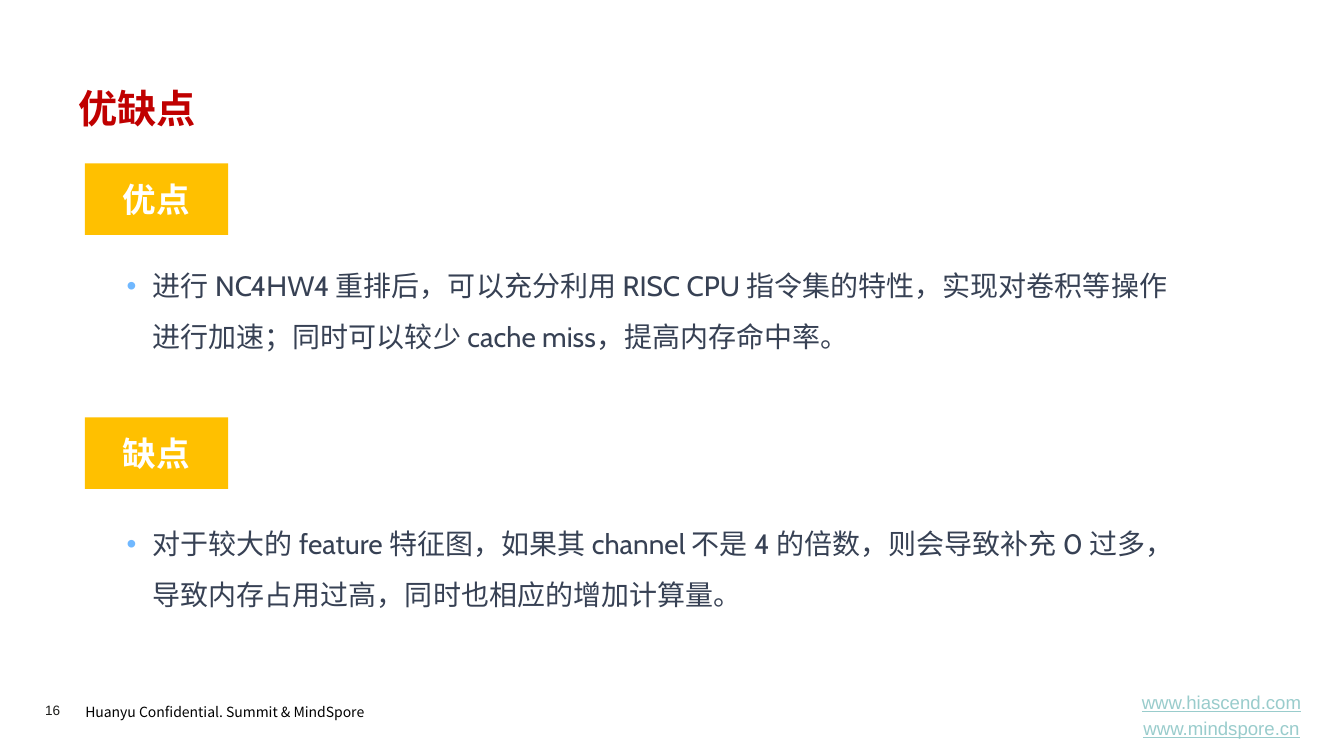
"""Build the slide on strengths and weaknesses of the NC4HW4 layout."""
from dataclasses import dataclass

from lxml import etree
from pptx import Presentation
from pptx import util as u
from pptx.dml.color import RGBColor
from pptx.enum import shapes, text
from pptx.oxml.ns import qn


@dataclass(frozen=True)
class Style:
    """Look of a piece of text."""
    size: float
    font: str
    color: str
    bold: bool = False
    underline: bool = False
    align: text.PP_ALIGN = text.PP_ALIGN.LEFT
    anchor: text.MSO_ANCHOR = text.MSO_ANCHOR.TOP
    line_spacing: float = 1.0
    space_between: float = 0
    bullet: bool = False


@dataclass(frozen=True)
class Theme:
    """Colours, fonts and type sizes of the slide."""
    cjk: str = "Noto Sans CJK SC"
    tag_fill: str = "FFC000"
    bullet: str = "70B8FF"
    title: Style = Style(28, "Noto Sans CJK SC", "C00000", bold=True,
                         anchor=text.MSO_ANCHOR.MIDDLE)
    tag: Style = Style(24, "Arial", "FFFFFF", bold=True, align=text.PP_ALIGN.CENTER,
                       anchor=text.MSO_ANCHOR.MIDDLE)
    body: Style = Style(20, "Cabin", "374154", line_spacing=1.5, bullet=True)
    footer: Style = Style(10, "Noto Sans CJK SC", "000000", line_spacing=1.2)
    number: Style = Style(9.7, "Arial", "1D1D1B")
    links: Style = Style(13.3, "Arial", "99CCCC", underline=True,
                         align=text.PP_ALIGN.CENTER, anchor=text.MSO_ANCHOR.MIDDLE,
                         space_between=2.7)


@dataclass(frozen=True)
class Box:
    """Position and size in centimetres."""
    left: float
    top: float
    width: float
    height: float

    def lengths(self) -> tuple:
        """Return the four lengths for python-pptx."""
        return tuple(u.Cm(value) for value in (self.left, self.top, self.width, self.height))


@dataclass(frozen=True)
class Section:
    """A tag with the bullet text beneath it."""
    tag: str
    tag_top: float
    body: str
    body_top: float


@dataclass(frozen=True)
class Note:
    """A small text at the foot of the slide."""
    content: str
    box: Box
    style: Style
    padded: bool = True


THEME = Theme()
SECTIONS = (
    Section("优点", 4.12, "进行 NC4HW4 重排后，可以充分利用 RISC CPU 指令集的特性，"
            "实现对卷积等操作进行加速；同时可以较少 cache miss，提高内存命中率。", 6.23),
    Section("缺点", 10.52, "对于较大的 feature 特征图，如果其 channel 不是 4 的倍数，"
            "则会导致补充 0 过多，导致内存占用过高，同时也相应的增加计算量。", 12.73),
)
NOTES = (
    Note("Huanyu Confidential. Summit & MindSpore", Box(1.9, 17.53, 7.95, 0.74), THEME.footer),
    Note("16", Box(1.14, 17.68, 1.4, 0.41), THEME.number, padded=False),
    Note("www.hiascend.com\nwww.mindspore.cn", Box(28.05, 17.48, 5.49, 1.09), THEME.links),
)


def add_bullet(paragraph) -> None:
    """Give a paragraph a coloured bullet and a hanging indent."""
    properties = paragraph._p.get_or_add_pPr()
    indent = u.Cm(0.66)
    properties.set("marL", str(indent))
    properties.set("indent", str(-indent))
    color = etree.SubElement(properties, qn("a:buClr"))
    etree.SubElement(color, qn("a:srgbClr"), val=THEME.bullet)
    etree.SubElement(properties, qn("a:buFont"), typeface="Arial")
    etree.SubElement(properties, qn("a:buChar"), char="•")


def write(shape, content: str, style: Style) -> None:
    """Fill a shape with styled text."""
    frame = shape.text_frame
    frame.text = content
    frame.word_wrap = True
    frame.auto_size = text.MSO_AUTO_SIZE.NONE
    frame.vertical_anchor = style.anchor
    for index, paragraph in enumerate(frame.paragraphs):
        if style.bullet:
            add_bullet(paragraph)
        paragraph.alignment = style.align
        paragraph.line_spacing = style.line_spacing
        paragraph.space_before = u.Pt(style.space_between if index else 0)
        for run in paragraph.runs:
            font = run.font
            font.size = u.Pt(style.size)
            font.name = style.font
            font.bold = style.bold
            font.underline = style.underline
            font.color.rgb = RGBColor.from_string(style.color)
            etree.SubElement(run._r.get_or_add_rPr(), qn("a:ea"), typeface=THEME.cjk)


def add_title(slide, content: str, box: Box) -> None:
    """Place and format the title placeholder."""
    title = slide.shapes.title
    title.left, title.top, title.width, title.height = box.lengths()
    write(title, content, THEME.title)


def add_text(slide, content: str, box: Box, style: Style, padded: bool = True) -> None:
    """Add a text box, with or without inner margins."""
    shape = slide.shapes.add_textbox(*box.lengths())
    write(shape, content, style)
    if not padded:
        frame = shape.text_frame
        frame.margin_left = frame.margin_right = frame.margin_top = frame.margin_bottom = 0


def add_section(slide, section: Section) -> None:
    """Add a filled tag and its bullet text."""
    box = Box(2.14, section.tag_top, 3.61, 1.8)
    tag = slide.shapes.add_shape(shapes.MSO_SHAPE.RECTANGLE, *box.lengths())
    tag.shadow.inherit = False
    tag.fill.solid()
    tag.fill.fore_color.rgb = RGBColor.from_string(THEME.tag_fill)
    tag.line.fill.background()
    write(tag, section.tag, THEME.tag)
    add_text(slide, section.body, Box(2.94, section.body_top, 27.2, 3.12), THEME.body)


def main() -> None:
    """Build and save the presentation."""
    presentation = Presentation()
    presentation.slide_width = u.Cm(33.88)
    presentation.slide_height = u.Cm(19.05)
    slide = presentation.slides.add_slide(presentation.slide_layouts.get_by_name("Title Only"))
    add_title(slide, "优缺点", Box(1.73, 1.9, 30.45, 1.63))
    for section in SECTIONS:
        add_section(slide, section)
    for note in NOTES:
        add_text(slide, note.content, note.box, note.style, note.padded)
    presentation.save("out.pptx")


if __name__ == "__main__":
    main()
